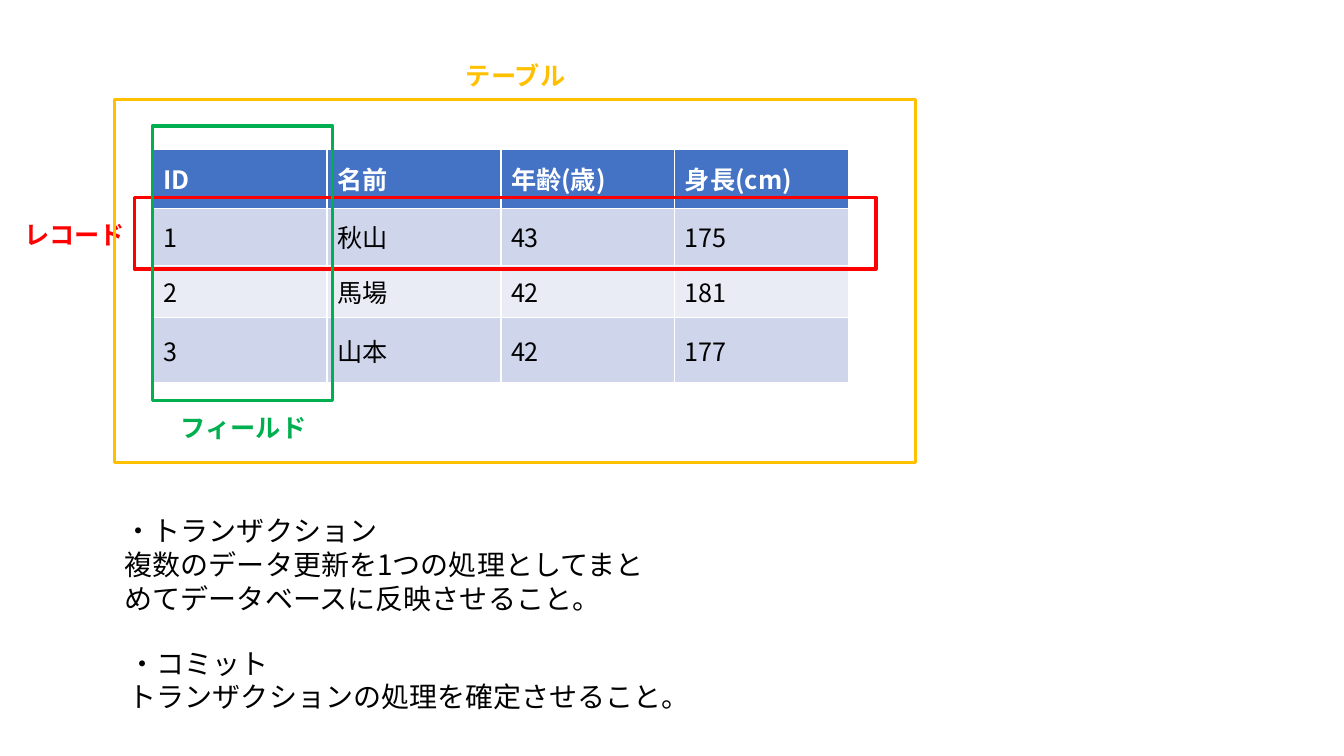
from dataclasses import dataclass
from typing import Any

from pptx import Presentation
from pptx.dml.color import RGBColor as Rgb
from pptx.enum.shapes import MSO_SHAPE as Kind
from pptx.enum.text import MSO_ANCHOR as Anchor, PP_ALIGN as Align
from pptx.oxml.ns import qn
from pptx.util import Inches, Pt


@dataclass(frozen=True)
class Theme:
    """Colours, font and type sizes of the slide."""
    font: str = "Noto Sans CJK JP"
    label: int = 18
    note: int = 20
    line: float = 2.25
    ink: str = "000000"
    white: str = "FFFFFF"
    head: str = "4472C4"
    bands: tuple[str, str] = ("CFD5EA", "E9EBF5")
    red: str = "FF0000"
    green: str = "00B050"
    gold: str = "FFC000"


@dataclass(frozen=True)
class Box:
    """A place, in percent of the slide's width and height."""
    left: float
    top: float
    width: float
    height: float


@dataclass(frozen=True)
class Mark:
    """A coloured frame and the label that names it."""
    text: str
    color: str
    frame: Box
    label: Box
    align: Align = Align.CENTER


@dataclass(frozen=True)
class Note:
    """A term with its meaning."""
    lines: tuple[str, ...]
    box: Box


THEME = Theme()
WIDTH, HEIGHT = Inches(13.333), Inches(7.5)

GRID = Box(11.4, 19.73, 51.75, 30.94)
ROWS = (7.87, 7.47, 6.93, 8.67)
DATA = (
    ("ID", "名前", "年齢(歳)", "身長(cm)"),
    ("1", "秋山", "43", "175"),
    ("2", "馬場", "42", "181"),
    ("3", "山本", "42", "177"),
)
MARKS = (
    Mark("レコード", THEME.red, Box(9.98, 26.13, 55.2, 9.47),
         Box(1.05, 28.4, 10.58, 5.33), Align.LEFT),
    Mark("フィールド", THEME.green, Box(11.33, 16.67, 13.43, 36.27),
         Box(11.55, 53.87, 13.13, 5.33)),
    Mark("テーブル", THEME.gold, Box(8.55, 13.2, 59.55, 48),
         Box(31.8, 7.33, 13.13, 5.33)),
)
NOTES = (
    Note(("・トランザクション",
          "複数のデータ更新を1つの処理としてまと\u3000めてデータベースに反映させること。"),
         Box(8.55, 67.33, 43.13, 14.8)),
    Note(("・コミット", "トランザクションの処理を確定させること。"),
         Box(8.85, 84.8, 43.13, 10.27)),
)


def across(share: float) -> int:
    """Turn a percentage of the width into a length."""
    return round(WIDTH * share / 100)


def down(share: float) -> int:
    """Turn a percentage of the height into a length."""
    return round(HEIGHT * share / 100)


def place(box: Box) -> tuple[int, int, int, int]:
    """Give left, top, width and height of a box."""
    return (across(box.left), down(box.top),
            across(box.width), down(box.height))


def style(para: Any, size: int, color: str, bold: bool = False) -> None:
    """Set the font of a paragraph, for Latin and Japanese text."""
    font = para.font
    font.name, font.size, font.bold = THEME.font, Pt(size), bold
    font.color.rgb = Rgb.from_string(color)
    props = para._p.pPr.find(qn("a:defRPr"))
    east = props.makeelement(qn("a:ea"), {"typeface": THEME.font})
    props.find(qn("a:latin")).addnext(east)


def write(slide: Any, box: Box, lines: tuple[str, ...], size: int, color: str,
          bold: bool = False, align: Align = Align.LEFT) -> None:
    """Add a wrapped text box, one paragraph a line."""
    frame = slide.shapes.add_textbox(*place(box)).text_frame
    frame.word_wrap = True
    frame.text = "\n".join(lines)
    for para in frame.paragraphs:
        para.alignment = align
        style(para, size, color, bold)


def draw_grid(slide: Any) -> None:
    """Add the table of people."""
    shape = slide.shapes.add_table(len(DATA), len(DATA[0]), *place(GRID))
    table = shape.table
    for row, share in zip(table.rows, ROWS):
        row.height = down(share)
    for i, words in enumerate(DATA):
        head = i == 0
        fill = THEME.head if head else THEME.bands[(i - 1) % 2]
        for j, word in enumerate(words):
            cell = table.cell(i, j)
            cell.text = word
            cell.vertical_anchor = Anchor.MIDDLE
            cell.fill.solid()
            cell.fill.fore_color.rgb = Rgb.from_string(fill)
            style(cell.text_frame.paragraphs[0], THEME.label,
                  THEME.white if head else THEME.ink, head)


def draw_mark(slide: Any, mark: Mark) -> None:
    """Add a hollow frame and its label."""
    shape = slide.shapes.add_shape(Kind.RECTANGLE, *place(mark.frame))
    shape.shadow.inherit = False
    shape.fill.background()
    shape.line.color.rgb = Rgb.from_string(mark.color)
    shape.line.width = Pt(THEME.line)
    write(slide, mark.label, (mark.text,), THEME.label, mark.color,
          True, mark.align)


def main() -> None:
    """Build and save the slide."""
    deck = Presentation()
    deck.slide_width, deck.slide_height = WIDTH, HEIGHT
    slide = deck.slides.add_slide(deck.slide_layouts[6])
    draw_grid(slide)
    for mark in MARKS:
        draw_mark(slide, mark)
    for note in NOTES:
        write(slide, note.box, note.lines, THEME.note, THEME.ink)
    deck.save("out.pptx")


main()
